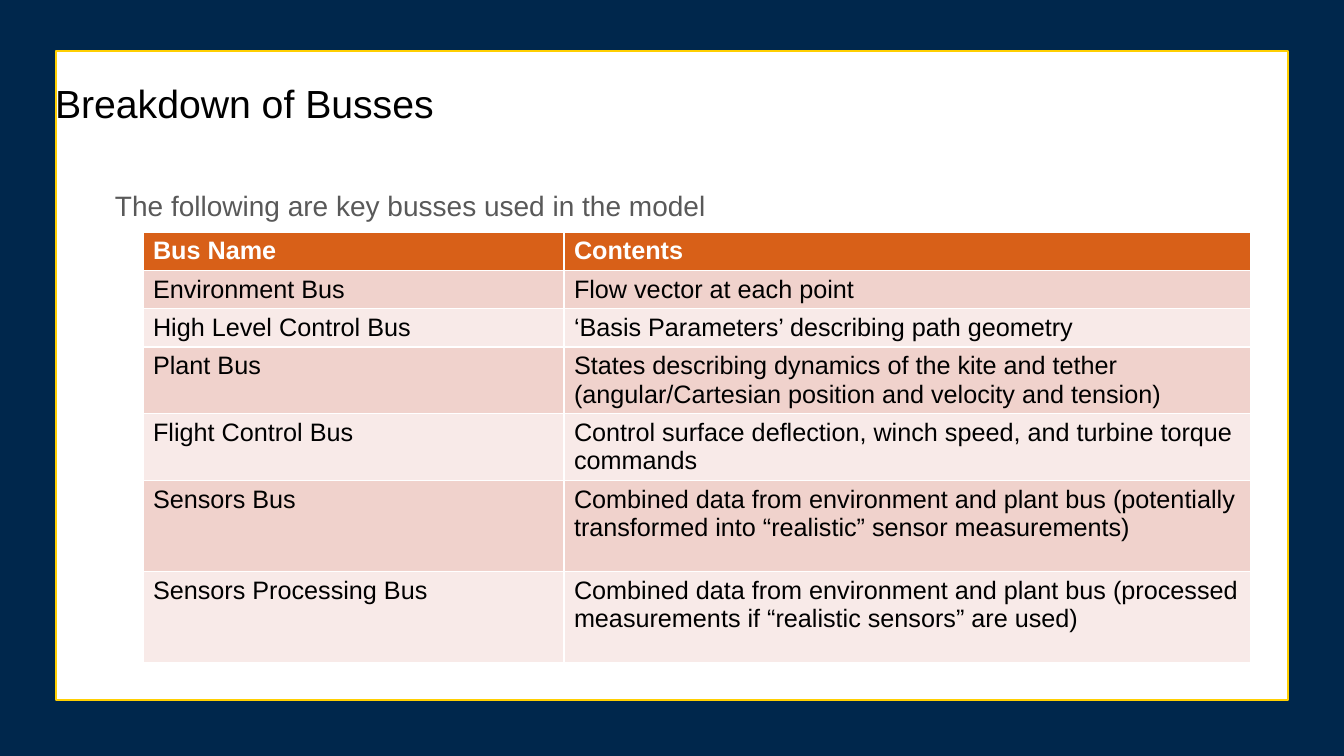
from pptx import Presentation
from pptx.dml.color import RGBColor
from pptx.enum.shapes import MSO_SHAPE
from pptx.enum.text import MSO_ANCHOR, MSO_AUTO_SIZE, PP_ALIGN
from pptx.oxml.xmlchemy import OxmlElement
from pptx.util import Pt

NAVY = RGBColor(0x00, 0x27, 0x4C)
MAIZE = RGBColor(0xFF, 0xCF, 0x01)
WHITE = RGBColor(0xFF, 0xFF, 0xFF)
BLACK = RGBColor(0x00, 0x00, 0x00)
GREY = RGBColor(0x59, 0x59, 0x59)
ORANGE = RGBColor(0xD8, 0x60, 0x18)
ROSE = RGBColor(0xF0, 0xD2, 0xCC)
PALE_ROSE = RGBColor(0xF8, 0xEA, 0xE8)

HEADING = "Breakdown of Busses"
INTRO = "The following are key busses used in the model"
BUSSES = [  # row height in px, bus name, contents
    (38, "Bus Name", "Contents"),
    (38, "Environment Bus", "Flow vector at each point"),
    (38, "High Level Control Bus", "‘Basis Parameters’ describing path geometry"),
    (64, "Plant Bus", "States describing dynamics of the kite and tether "
     "(angular/Cartesian position and velocity and tension)"),
    (64, "Flight Control Bus",
     "Control surface deflection, winch speed, and turbine torque commands"),
    (91, "Sensors Bus", "Combined data from environment and plant bus "
     "(potentially transformed into “realistic” sensor measurements)"),
    (91, "Sensors Processing Bus", "Combined data from environment and plant bus "
     "(processed measurements if “realistic sensors” are used)"),
]
COLUMN_WIDTHS = (421, 687)
SLIDE_SIZE = (1344, 756)
FRAME_BOX = (56, 51, 1232, 649)
HEADING_BOX = (45, 66, 1252, 84)
INTRO_BOX = (93, 170, 1159, 527)
TABLE_CORNER = (143, 232)


def px(length):
    return round(length * 914400 / 100.8)


def set_all(target, **values):
    for name, value in values.items():
        setattr(target, name, value)


def style_font(font, size, color, bold=False):
    set_all(font, name="Arial", size=Pt(size), bold=bold)
    font.color.rgb = color


def fill_placeholder(placeholder, box, text, size, color, line_spacing):
    """Move a placeholder and set its single left-aligned paragraph."""
    set_all(placeholder, **dict(zip(("left", "top", "width", "height"), map(px, box))))
    frame = placeholder.text_frame
    set_all(frame, text=text, word_wrap=True, auto_size=MSO_AUTO_SIZE.NONE,
            vertical_anchor=MSO_ANCHOR.TOP, margin_left=px(10), margin_right=px(10),
            margin_top=px(13), margin_bottom=px(10))
    paragraph = frame.paragraphs[0]
    set_all(paragraph, alignment=PP_ALIGN.LEFT, line_spacing=line_spacing,
            space_before=Pt(0))
    style_font(paragraph.runs[0].font, size, color)
    return paragraph


def add_bus_table(slide):
    heights = [row[0] for row in BUSSES]
    size = (sum(COLUMN_WIDTHS), sum(heights))
    table = slide.shapes.add_table(len(BUSSES), len(COLUMN_WIDTHS),
                                   *map(px, TABLE_CORNER + size)).table
    for column, width in zip(table.columns, COLUMN_WIDTHS):
        column.width = px(width)
    for r, (height, *texts) in enumerate(BUSSES):
        table.rows[r].height = px(height)
        header = r == 0
        fill = ORANGE if header else (PALE_ROSE, ROSE)[r % 2]
        for c, text in enumerate(texts):
            cell = table.cell(r, c)
            cell.text = text
            cell.fill.solid()
            cell.fill.fore_color.rgb = fill
            style_font(cell.text_frame.paragraphs[0].runs[0].font, 18,
                       WHITE if header else BLACK, header)


def main():
    deck = Presentation()
    deck.slide_width, deck.slide_height = map(px, SLIDE_SIZE)
    slide = deck.slides.add_slide(deck.slide_layouts[1])
    slide.background.fill.solid()
    slide.background.fill.fore_color.rgb = NAVY

    title, body = slide.placeholders
    border = slide.shapes.add_shape(MSO_SHAPE.RECTANGLE, *map(px, FRAME_BOX))
    border.shadow.inherit = False
    border.fill.solid()
    border.fill.fore_color.rgb = WHITE
    border.line.color.rgb = MAIZE
    border.line.width = Pt(1.5)
    title.element.addprevious(border.element)

    fill_placeholder(title, HEADING_BOX, HEADING, 28, BLACK, 1.0)
    intro = fill_placeholder(body, INTRO_BOX, INTRO, 20, GREY, 1.15)
    properties = intro._p.get_or_add_pPr()
    properties.set("marL", str(px(12)))
    properties.set("indent", "0")
    properties.append(OxmlElement("a:buNone"))

    add_bus_table(slide)
    deck.save("out.pptx")


if __name__ == "__main__":
    main()
